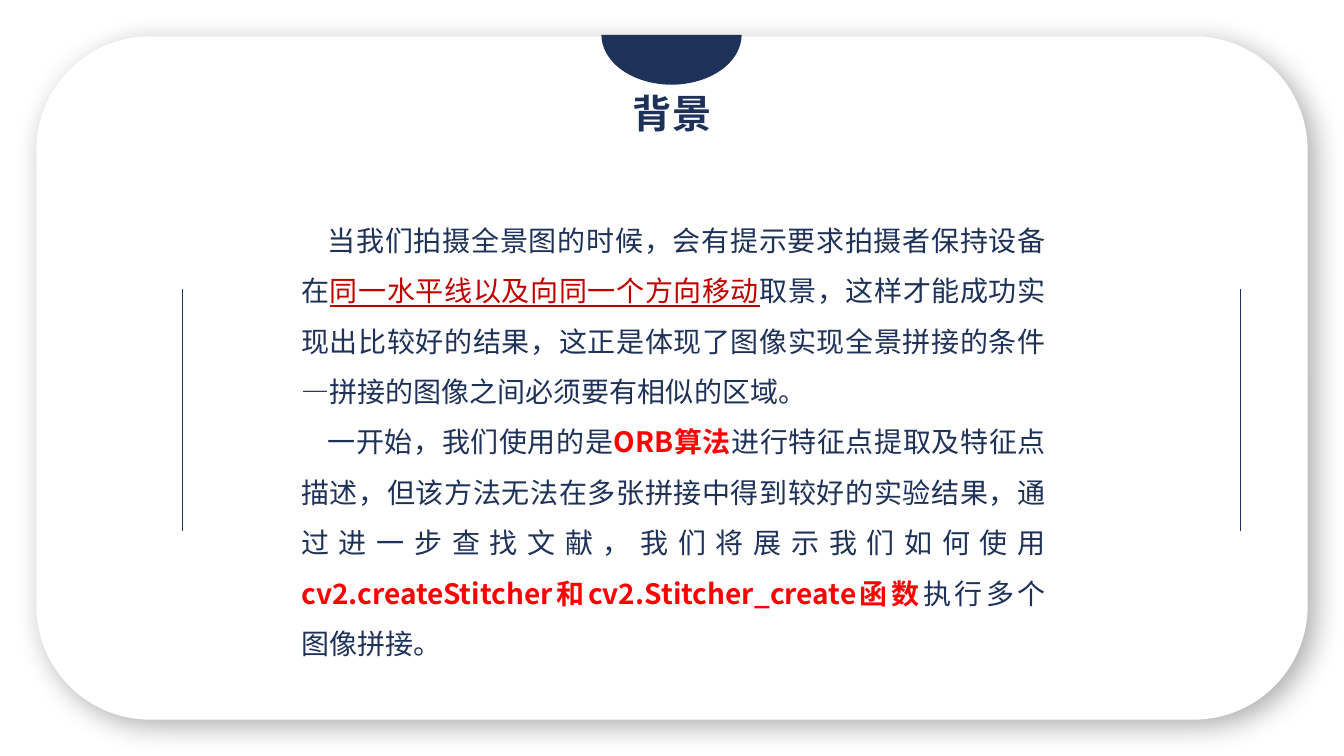
from lxml import etree
from pptx import Presentation
from pptx.dml.color import RGBColor
from pptx.enum.shapes import MSO_CONNECTOR, MSO_SHAPE
from pptx.enum.text import MSO_AUTO_SIZE, PP_ALIGN
from pptx.oxml import parse_xml
from pptx.oxml.ns import nsdecls, qn
from pptx.util import Inches, Pt

CARD, PIE = MSO_SHAPE.ROUNDED_RECTANGLE, MSO_SHAPE.PIE
LINE = MSO_CONNECTOR.STRAIGHT
FIT = MSO_AUTO_SIZE.SHAPE_TO_FIT_TEXT
CENTER, JUSTIFY = PP_ALIGN.CENTER, PP_ALIGN.JUSTIFY
WIDE, HIGH = 13.33, 7.5
FACE = "Noto Sans CJK SC"
NAVY, WHITE, DEEP, RED = "1E3159", "FFFFFF", "C00000", "FF0000"

STORY = [
    [("当我们拍摄全景图的时候，会有提示要求拍摄者保持设备在", NAVY),
     ("同一水平线以及向同一个方向移动", DEEP),
     ("取景，这样才能成功实现出比较好的结果，这正是体现了图像实现全景拼接的条件"
      "—拼接的图像之间必须要有相似的区域。", NAVY)],
    [("一开始，我们使用的是", NAVY),
     ("ORB算法", RED),
     ("进行特征点提取及特征点描述，但该方法无法在多张拼接中得到较好的实验结果，"
      "通过进一步查找文献，我们将展示我们如何使用", NAVY),
     ("cv2.createStitcher和cv2.Stitcher_create函数", RED),
     ("执行多个图像拼接。", NAVY)],
]


def paint(color, tint):
    """Set a colour format from a hex string."""
    color.rgb = RGBColor.from_string(tint)


def add_shape(slide, kind, box, tint):
    """Add a flat filled shape."""
    shape = slide.shapes.add_shape(kind, *map(Inches, box))
    shape.shadow.inherit = False
    shape.fill.solid()
    paint(shape.fill.fore_color, tint)
    shape.line.fill.background()
    return shape


def cast_shadow(shape):
    """Give a shape a soft shadow to the lower right."""
    shape._element.spPr.find(qn("a:effectLst")).append(parse_xml(
        f'<a:outerShdw {nsdecls("a")} blurRad="{Pt(21)}" dist="{Pt(8)}" '
        'dir="2700000" algn="tl" rotWithShape="0"><a:srgbClr val="000000">'
        '<a:alpha val="32000"/></a:srgbClr></a:outerShdw>'))


def add_rule(slide, x, top, end):
    """Add a thin upright line."""
    rule = slide.shapes.add_connector(LINE, *map(Inches, (x, top, x, end)))
    paint(rule.line.color, NAVY)
    rule.line.width = Pt(0.5)
    etree.SubElement(rule._element.spPr, qn("a:effectLst"))


def add_text(slide, box, paras, size, align, wrap=True, bold=False,
             space=1.0, indent=0):
    """Add a text box from paragraphs of (text, colour) runs."""
    frame = slide.shapes.add_textbox(*map(Inches, box)).text_frame
    frame.word_wrap = wrap
    frame.auto_size = FIT
    for i, runs in enumerate(paras):
        para = frame.add_paragraph() if i else frame.paragraphs[0]
        para.alignment, para.line_spacing = align, space
        props = para._p.get_or_add_pPr()
        props.set("marL", "0")
        props.set("indent", str(Inches(indent)))
        para.font.size, para.font.name = Pt(size), FACE
        for text, tint in runs:
            run = para.add_run()
            run.text = text
            paint(run.font.color, tint)
            run.font.bold = bold or tint == RED
            run.font.underline = tint == DEEP
            east = etree.SubElement(run._r.get_or_add_rPr(), qn("a:ea"))
            east.set("typeface", FACE)


def main():
    """Build the slide."""
    deck = Presentation()
    deck.slide_width, deck.slide_height = Inches(WIDE), Inches(HIGH)
    slide = deck.slides.add_slide(deck.slide_layouts[6])
    mid, edge = WIDE / 2, 0.36
    card = add_shape(slide, CARD, (edge, edge, WIDE - 2 * edge,
                                   HIGH - 2 * edge), WHITE)
    cast_shadow(card)
    tab = add_shape(slide, PIE, (mid - 0.7, -0.15, 1.39, 0.99), NAVY)
    tab.adjustments[0], tab.adjustments[1] = 0, 108
    add_text(slide, (mid - 0.49, 0.84, 0.98, 0.57), [[("背景", NAVY)]],
             28, CENTER, wrap=False, bold=True)
    for x in (1.81, 12.3):
        add_rule(slide, x, 2.87, 5.27)
    add_text(slide, (2.89, 2, 7.58, 4.14), STORY, 20, JUSTIFY,
             space=1.5, indent=0.26)
    deck.save("out.pptx")


if __name__ == "__main__":
    main()
